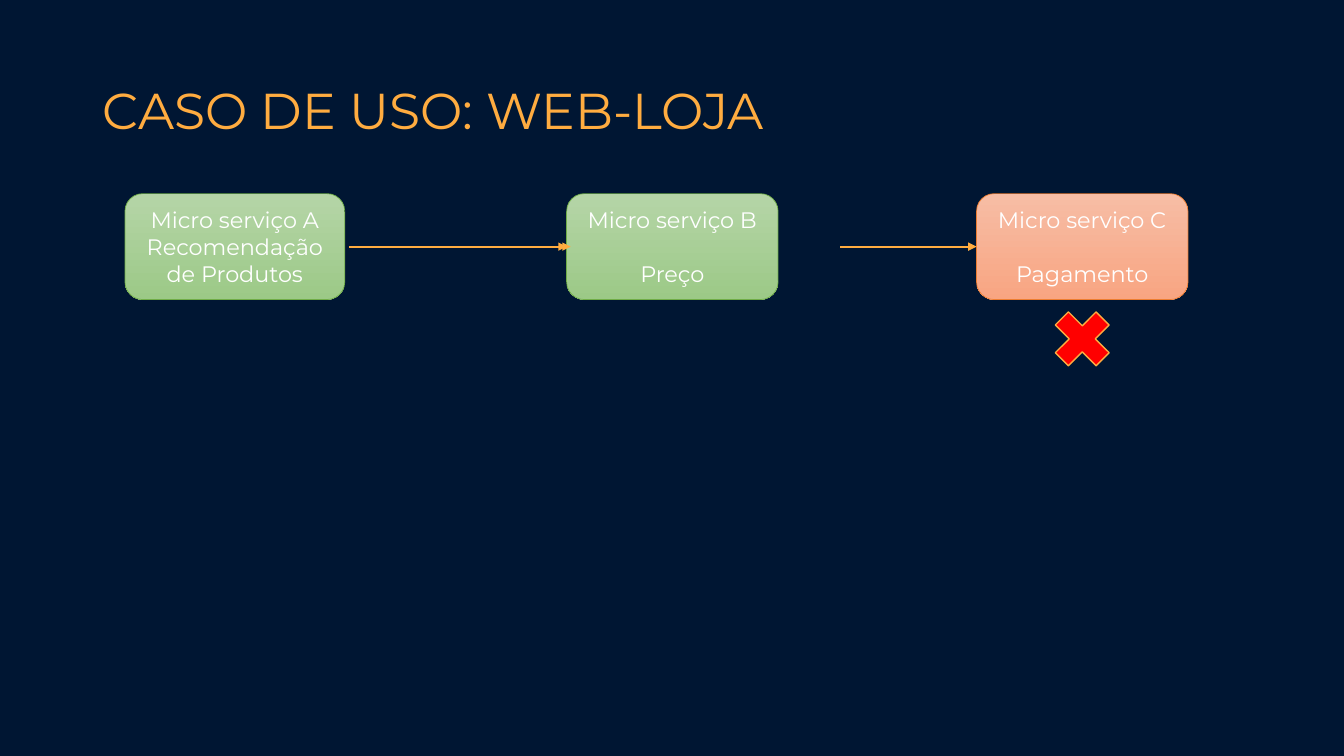
import lxml.etree
import pptx
import pptx.dml.color
import pptx.enum.shapes
import pptx.enum.text
import pptx.oxml.ns
import pptx.util
from pptx.util import Cm

COLOURS = {
    "night": "001633",
    "amber": "FFAC40",
    "white": "FFFFFF",
    "red": "FF0000",
    "green_line": "70AD47",
    "green_top": "B5D5A7",
    "green_bottom": "9CC987",
    "orange_line": "ED7D31",
    "orange_top": "F7BDA5",
    "orange_bottom": "F8A582",
}
SERVICES = [
    (3.15, 5.54, "green", ["Micro serviço A", "Recomendação de Produtos"], 0),
    (14.28, 5.33, "green", ["Micro serviço B", "Preço"], 19.5),
    (24.61, 5.33, "orange", ["Micro serviço C", "Pagamento"], 19.5),
]
ROW_TOP, ROW_HEIGHT = 4.88, 2.67
CALLS = [(21.18, 24.61), (10.26, 14.28), (8.79, 14.38)]


def colour(name):
    """Return the named colour as an RGB value."""
    return pptx.dml.color.RGBColor.from_string(COLOURS[name])


def write(frame, lines, size, ink, align, gap=0, spacing=None):
    """Write one paragraph per line, with a gap in points between them."""
    frame.word_wrap = True
    frame.vertical_anchor = pptx.enum.text.MSO_ANCHOR.MIDDLE
    for index, line in enumerate(lines):
        para = frame.add_paragraph() if index else frame.paragraphs[0]
        para.alignment = align
        para.space_before = pptx.util.Pt(gap if index else 0)
        para.line_spacing = spacing
        span = para.add_run()
        span.text = line
        span.font.name = "Montserrat"
        span.font.size = pptx.util.Pt(size)
        span.font.color.rgb = colour(ink)


def add_title(page, left, top, width, height):
    """Place and format the slide title."""
    title = page.shapes.title
    title.left, title.top = Cm(left), Cm(top)
    title.width, title.height = Cm(width), Cm(height)
    write(title.text_frame, ["CASO DE USO: WEB-LOJA"], 36, "amber",
          pptx.enum.text.PP_ALIGN.LEFT, spacing=0.9)


def add_outlined(page, kind, left, top, width, height, line, weight):
    """Add a shadowless preset shape with an outline."""
    shape = page.shapes.add_shape(kind, Cm(left), Cm(top), Cm(width), Cm(height))
    shape.shadow.inherit = False
    shape.line.color.rgb = colour(line)
    shape.line.width = pptx.util.Pt(weight)
    return shape


def add_service(page, left, top, width, height, tone, lines, gap):
    """Draw one microservice as a rounded box with a vertical gradient."""
    box = add_outlined(page, pptx.enum.shapes.MSO_SHAPE.ROUNDED_RECTANGLE,
                       left, top, width, height, f"{tone}_line", 0.5)
    box.fill.gradient()
    box.fill.gradient_angle = 270
    for stop, end in zip(box.fill.gradient_stops, ("top", "bottom")):
        stop.color.rgb = colour(f"{tone}_{end}")
    write(box.text_frame, lines, 16, "white", pptx.enum.text.PP_ALIGN.CENTER, gap)


def add_failure(page, left, top, size):
    """Mark a failed service with a red cross."""
    cross = add_outlined(page, pptx.enum.shapes.MSO_SHAPE.MATH_MULTIPLY,
                         left, top, size, size, "amber", 1)
    cross.fill.solid()
    cross.fill.fore_color.rgb = colour("red")


def add_call(page, start, end, height):
    """Draw a horizontal arrow between services."""
    arrow = page.shapes.add_connector(pptx.enum.shapes.MSO_CONNECTOR.STRAIGHT,
                                      Cm(start), Cm(height), Cm(end), Cm(height))
    arrow.line.color.rgb = colour("amber")
    arrow.line.width = pptx.util.Pt(1.5)
    qn = pptx.oxml.ns.qn
    properties = arrow.element.spPr
    lxml.etree.SubElement(properties.find(qn("a:ln")), qn("a:tailEnd"), type="triangle")
    lxml.etree.SubElement(properties, qn("a:effectLst"))


def add_flow(page, top, height):
    """Draw the row of services, the failure mark and the calls."""
    for left, width, tone, lines, gap in SERVICES:
        add_service(page, left, top, width, height, tone, lines, gap)
    mark = 1.98
    add_failure(page, left + (width - mark) / 2, top + height, mark)
    for start, end in CALLS:
        add_call(page, start, end, top + height / 2)


def main():
    """Build the deck and save it."""
    deck = pptx.Presentation()
    deck.slide_width, deck.slide_height = Cm(33.87), Cm(19.05)
    page = deck.slides.add_slide(deck.slide_layouts.get_by_name("Title Only"))
    page.background.fill.solid()
    page.background.fill.fore_color.rgb = colour("night")
    add_title(page, 2.34, 1.02, 29.21, 3.68)
    add_flow(page, ROW_TOP, ROW_HEIGHT)
    deck.save("out.pptx")


if __name__ == "__main__":
    main()
